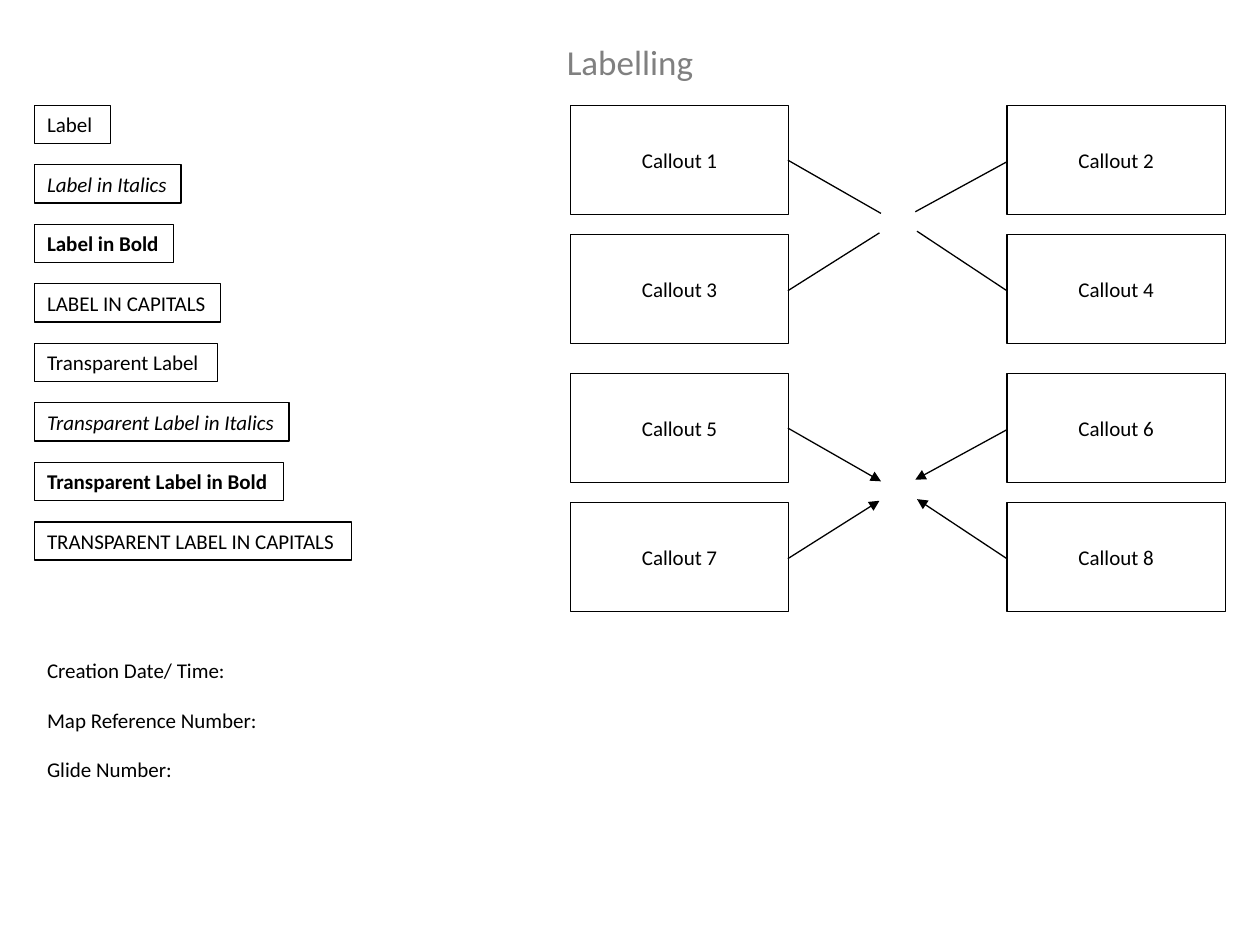
from pptx import Presentation
from pptx.dml.color import RGBColor
from pptx.enum.shapes import MSO_SHAPE as Form
from pptx.enum.text import MSO_ANCHOR as Anchor, MSO_AUTO_SIZE as Fit, PP_ALIGN as Align
from pptx.oxml.ns import qn
from pptx.util import Pt
from lxml.etree import SubElement as Sub

BLACK = RGBColor(0, 0, 0)
WHITE = RGBColor(255, 255, 255)
GREY = RGBColor(128, 128, 128)

LABELS = [
    ("Label", 43.4, {}),
    ("Label in Italics", 83.7, {"italic": True}),
    ("Label in Bold", 79.5, {"bold": True}),
    ("LABEL IN CAPITALS", 106.2, {}),
    ("Transparent Label", 104.5, {}),
    ("Transparent Label in Italics", 145.3, {"italic": True}),
    ("Transparent Label in Bold", 142.4, {"bold": True}),
    ("TRANSPARENT LABEL IN CAPITALS", 180.9, {}),
]
FIELDS = [
    ("Creation Date/ Time:", 120.2),
    ("Map Reference Number:", 138.2),
    ("Glide Number:", 89.3),
]
LEADS = [
    (0.502, 0.996, 0.99, 1.423),
    (0.517, -0.001, 0.975, -0.421),
    (0.517, 0.996, -0.014, 1.416),
    (0.517, -0.001, -0.029, -0.413),
]


def write(frame, text, size=12, color=BLACK, align=Align.LEFT,
          anchor=Anchor.TOP, wrap=True, fit=Fit.NONE, bold=False, italic=False):
    frame.word_wrap = wrap
    frame.auto_size = fit
    frame.vertical_anchor = anchor
    para = frame.paragraphs[0]
    para.alignment = align
    run = para.add_run()
    run.text = text
    font = run.font
    font.name = "Calibri"
    font.size = Pt(size)
    font.color.rgb = color
    font.bold = bold
    font.italic = italic


def add_box(slide, form, box, fill=True, line=True):
    shape = slide.shapes.add_shape(form, *map(Pt, box))
    shape.shadow.inherit = False
    if fill:
        shape.fill.solid()
        shape.fill.fore_color.rgb = WHITE
    else:
        shape.fill.background()
    if line:
        shape.line.color.rgb = BLACK
        shape.line.width = Pt(0.75)
    else:
        shape.line.fill.background()
    return shape


def add_title(slide, box):
    title = slide.shapes.title
    title.left, title.top, title.width, title.height = map(Pt, box)
    write(title.text_frame, "Labelling", size=20, color=GREY,
          align=Align.CENTER, anchor=Anchor.MIDDLE)


def add_labels(slide, left, top, step, high):
    for i, (text, wide, style) in enumerate(LABELS):
        box = (left, top + i * step, wide, high)
        shape = add_box(slide, Form.RECTANGLE, box, fill=i < 4)
        write(shape.text_frame, text, wrap=False, fit=Fit.SHAPE_TO_FIT_TEXT, **style)


def add_fields(slide, left, top, step, high):
    for i, (text, wide) in enumerate(FIELDS):
        box = (left, top + i * step, wide, high)
        shape = add_box(slide, Form.RECTANGLE, box, line=False)
        write(shape.text_frame, text, wrap=False, fit=Fit.SHAPE_TO_FIT_TEXT)


def add_calls(slide, box, first, arrow=False):
    left, top, wide, high = box
    cell_w, cell_h = 124.7, 62.4
    for i, lead in enumerate(LEADS):
        row, col = divmod(i, 2)
        cell = (left + col * (wide - cell_w), top + row * (high - cell_h), cell_w, cell_h)
        shape = add_box(slide, Form.LINE_CALLOUT_1, cell)
        for n, value in enumerate(lead):
            shape.adjustments[n] = value
        if arrow:
            edge = shape.line.fill._xPr
            Sub(edge, qn("a:tailEnd"), type="triangle")
        write(shape.text_frame, f"Callout {first + i}",
              align=Align.CENTER, anchor=Anchor.MIDDLE)


def main():
    deck = Presentation()
    deck.slide_width, deck.slide_height = Pt(720), Pt(540)
    slide = deck.slides.add_slide(deck.slide_layouts[5])
    add_title(slide, (36, 21.6, 648, 27.4))
    add_calls(slide, (326, 60.2, 374.2, 136.1), 1)
    add_calls(slide, (326, 213.3, 374.2, 136.1), 5, arrow=True)
    add_labels(slide, 19.8, 60.2, 34, 21.8)
    add_fields(slide, 19.8, 372.2, 28.3, 21.8)
    deck.save("out.pptx")


if __name__ == "__main__":
    main()
